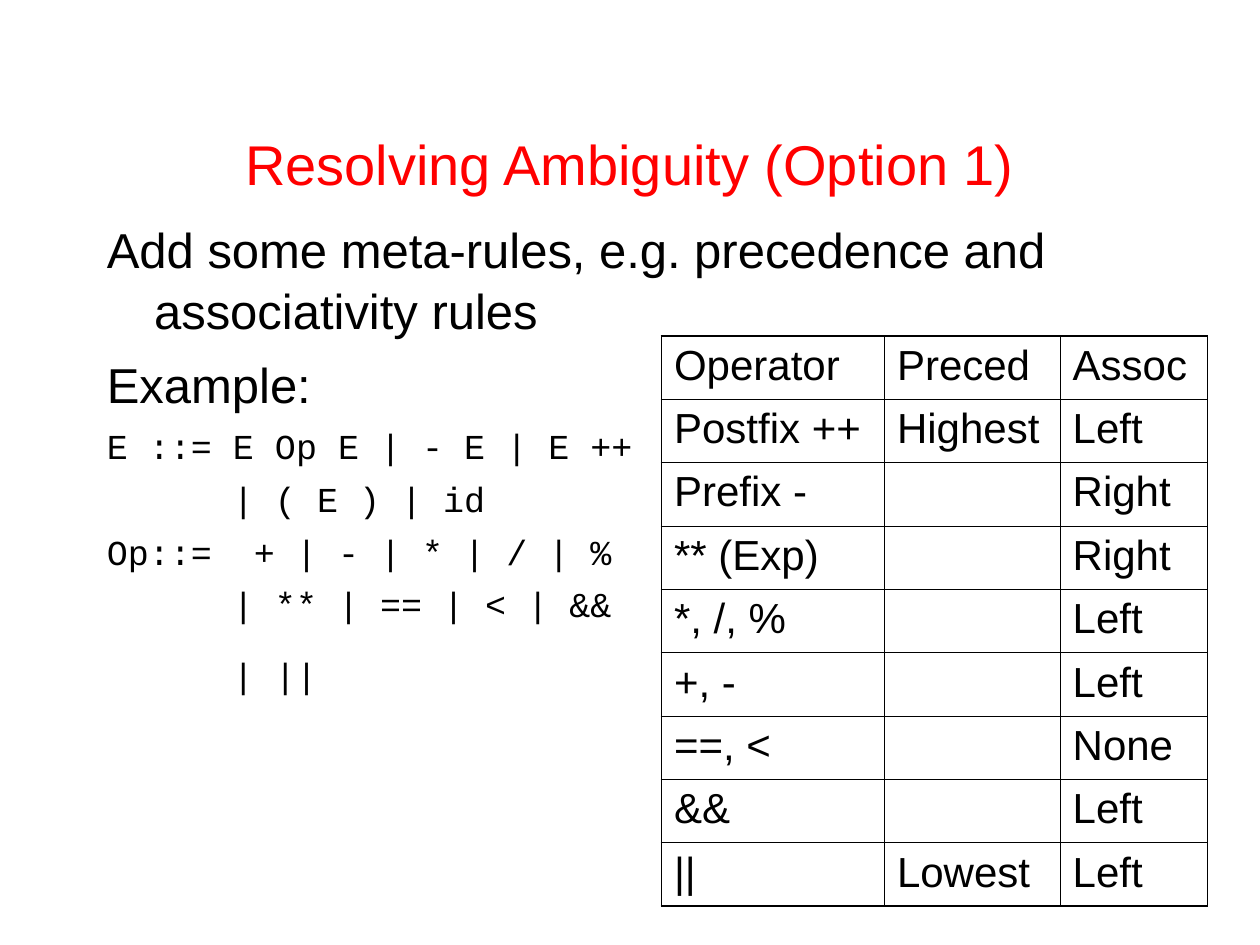
from dataclasses import dataclass

from lxml import etree
from pptx import Presentation
from pptx import util as u
from pptx.dml.color import RGBColor
from pptx.enum import text
from pptx.oxml import ns


@dataclass(frozen=True)
class Theme:
    red: RGBColor = RGBColor(255, 0, 0)
    ink: RGBColor = RGBColor(0, 0, 0)
    paper: RGBColor = RGBColor(255, 255, 255)
    sans: str = "Arial"
    mono: str = "Courier New"
    title: int = 32
    body: int = 28
    grid: int = 24
    code: int = 20
    thick: float = 1.08
    thin: float = 0.45


THEME = Theme()

# Each line: wording, whether it is code, space before
LINES = [
    ("Add some meta-rules, e.g. precedence and associativity rules", False, 0),
    ("Example:", False, 7),
    ("E ::= E Op E | - E | E ++", True, 5),
    ("      | ( E ) | id", True, 5),
    ("Op::=  + | - | * | / | %", True, 5),
    ("      | ** | == | < | &&", True, 5),
    ("      | ||", True, 15),
]

ROWS = [
    ("Operator", "Preced", "Assoc"),
    ("Postfix ++", "Highest", "Left"),
    ("Prefix -", "", "Right"),
    ("** (Exp)", "", "Right"),
    ("*, /, %", "", "Left"),
    ("+, -", "", "Left"),
    ("==, <", "", "None"),
    ("&&", "", "Left"),
    ("||", "Lowest", "Left"),
]
WIDTHS = (127.4, 100.4, 84.2)
HIGH = 36.2


def add_run(para, words, size, face, color):
    run = para.add_run()
    run.text = words
    run.font.size = u.Pt(size)
    run.font.name = face
    run.font.color.rgb = color


def add_box(slide, left, top, width, height, anchor):
    box = slide.shapes.add_textbox(*map(u.Pt, (left, top, width, height)))
    frame = box.text_frame
    frame.word_wrap = True
    frame.vertical_anchor = anchor
    return frame


def add_title(slide):
    frame = add_box(slide, 54, 48, 612, 90, text.MSO_ANCHOR.MIDDLE)
    para = frame.paragraphs[0]
    para.alignment = text.PP_ALIGN.CENTER
    add_run(para, "Resolving Ambiguity (Option 1)",
            THEME.title, THEME.sans, THEME.red)


def add_body(slide):
    frame = add_box(slide, 54, 120, 612, 324, text.MSO_ANCHOR.TOP)
    for i, (words, code, gap) in enumerate(LINES):
        para = frame.add_paragraph() if i else frame.paragraphs[0]
        para.line_spacing = 1.05
        if gap:
            para.space_before = u.Pt(gap)
        # Hanging indent
        props = para._p.get_or_add_pPr()
        props.set("marL", str(u.Pt(27)))
        props.set("indent", str(u.Pt(-27)))
        size, face = ((THEME.code, THEME.mono) if code
                      else (THEME.body, THEME.sans))
        add_run(para, words, size, face, THEME.ink)


def add_edge(cell, side, width):
    props = cell._tc.get_or_add_tcPr()
    line = etree.SubElement(props, ns.qn("a:ln" + side), w=str(u.Pt(width)))
    fill = etree.SubElement(line, ns.qn("a:solidFill"))
    etree.SubElement(fill, ns.qn("a:srgbClr"), val=str(THEME.ink))


def add_grid(slide):
    count, span = len(ROWS), len(WIDTHS)
    frame = slide.shapes.add_table(
        count, span, u.Pt(378), u.Pt(192),
        u.Pt(sum(WIDTHS)), u.Pt(HIGH * count))
    table = frame.table
    table.first_row = table.horz_banding = False
    for col, width in zip(table.columns, WIDTHS):
        col.width = u.Pt(width)
    for r, row in enumerate(ROWS):
        table.rows[r].height = u.Pt(HIGH)
        for c, words in enumerate(row):
            cell = table.cell(r, c)
            # Thick lines run round the outside only
            outer = {"L": c == 0, "R": c == span - 1,
                     "T": r == 0, "B": r == count - 1}
            for side, edge in outer.items():
                add_edge(cell, side, THEME.thick if edge else THEME.thin)
            cell.fill.solid()
            cell.fill.fore_color.rgb = THEME.paper
            if words:
                add_run(cell.text_frame.paragraphs[0], words,
                        THEME.grid, THEME.sans, THEME.ink)


def main():
    deck = Presentation()
    deck.slide_width, deck.slide_height = u.Pt(720), u.Pt(540)
    slide = deck.slides.add_slide(deck.slide_layouts[6])
    add_title(slide)
    add_body(slide)
    add_grid(slide)
    deck.save("out.pptx")


if __name__ == "__main__":
    main()
